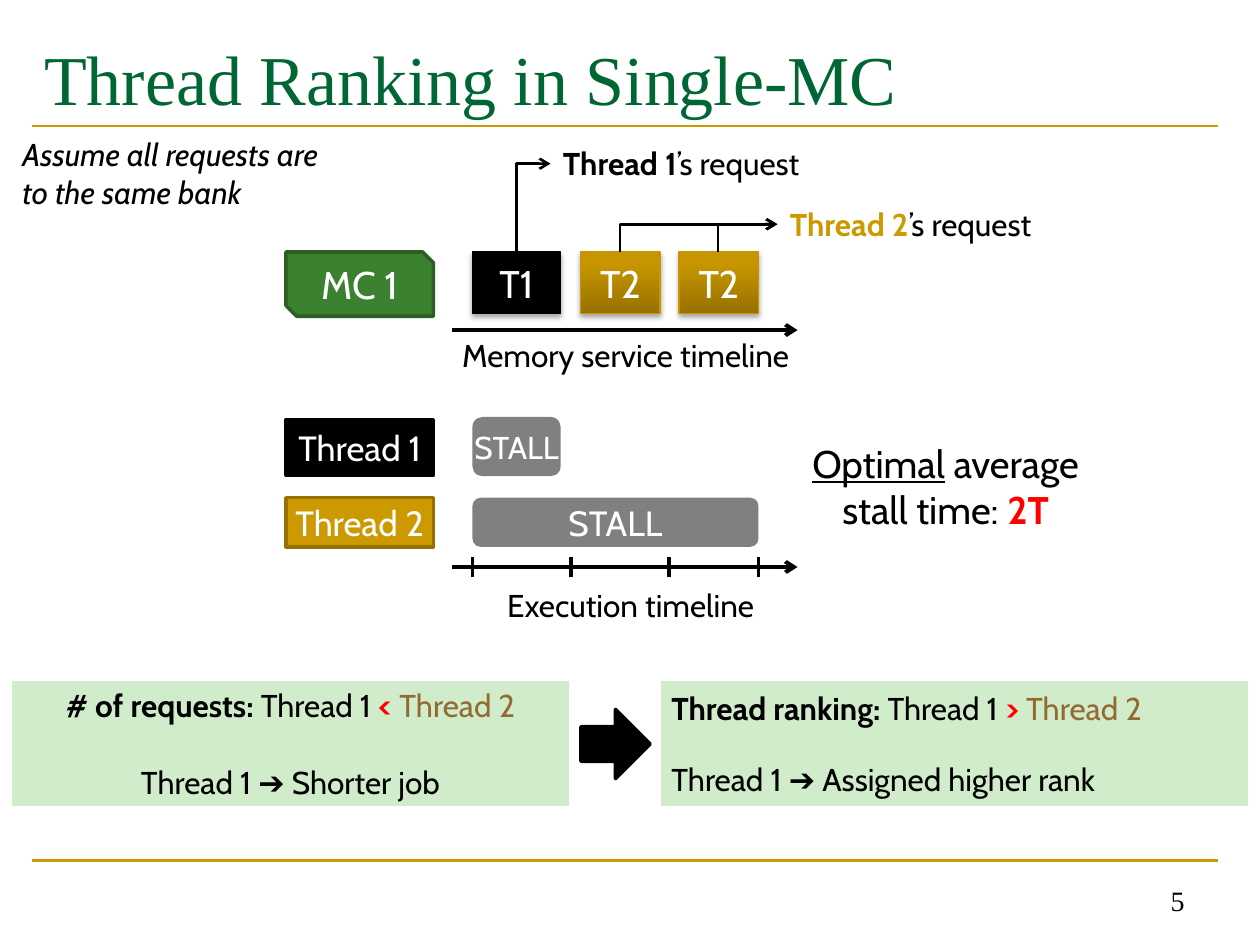
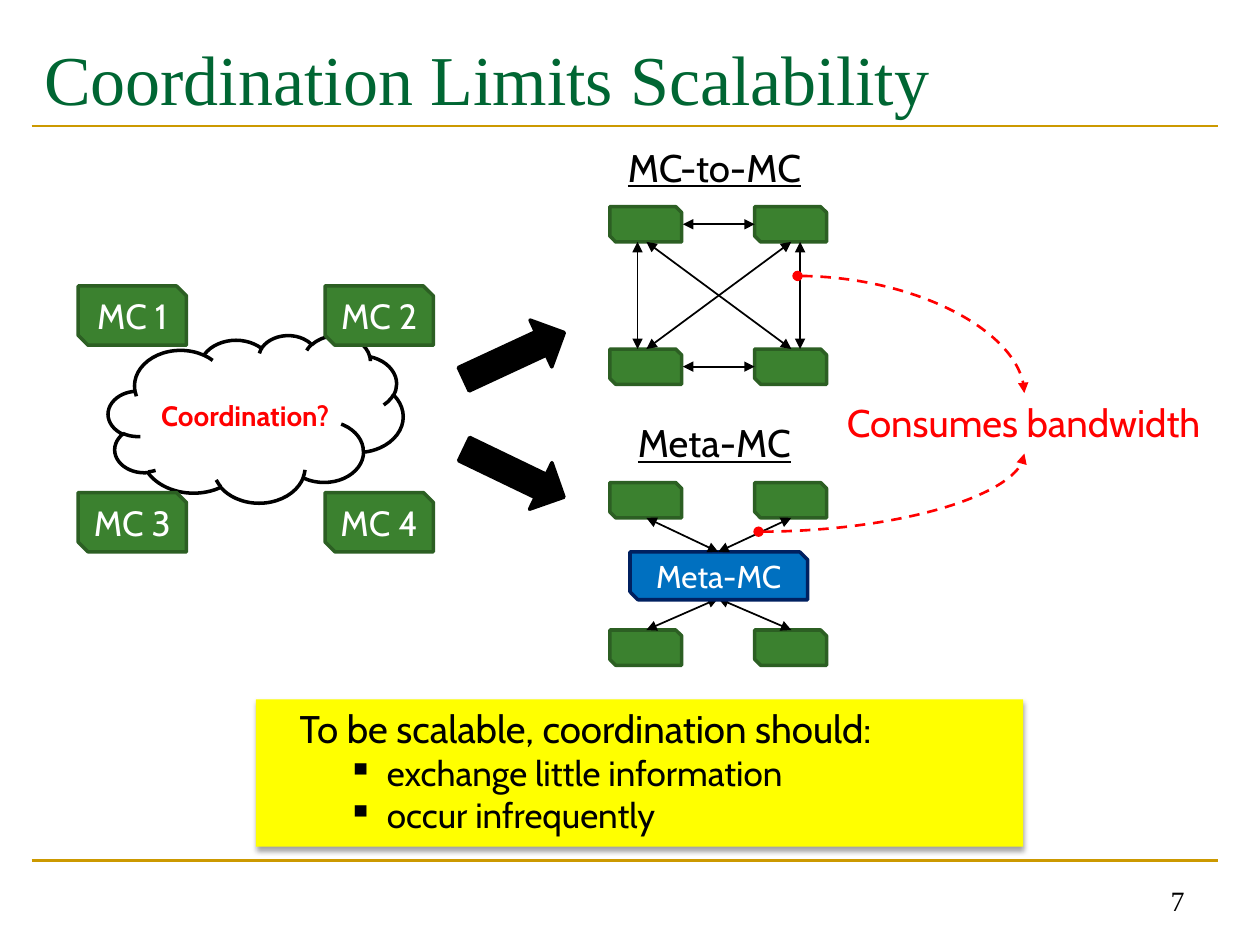
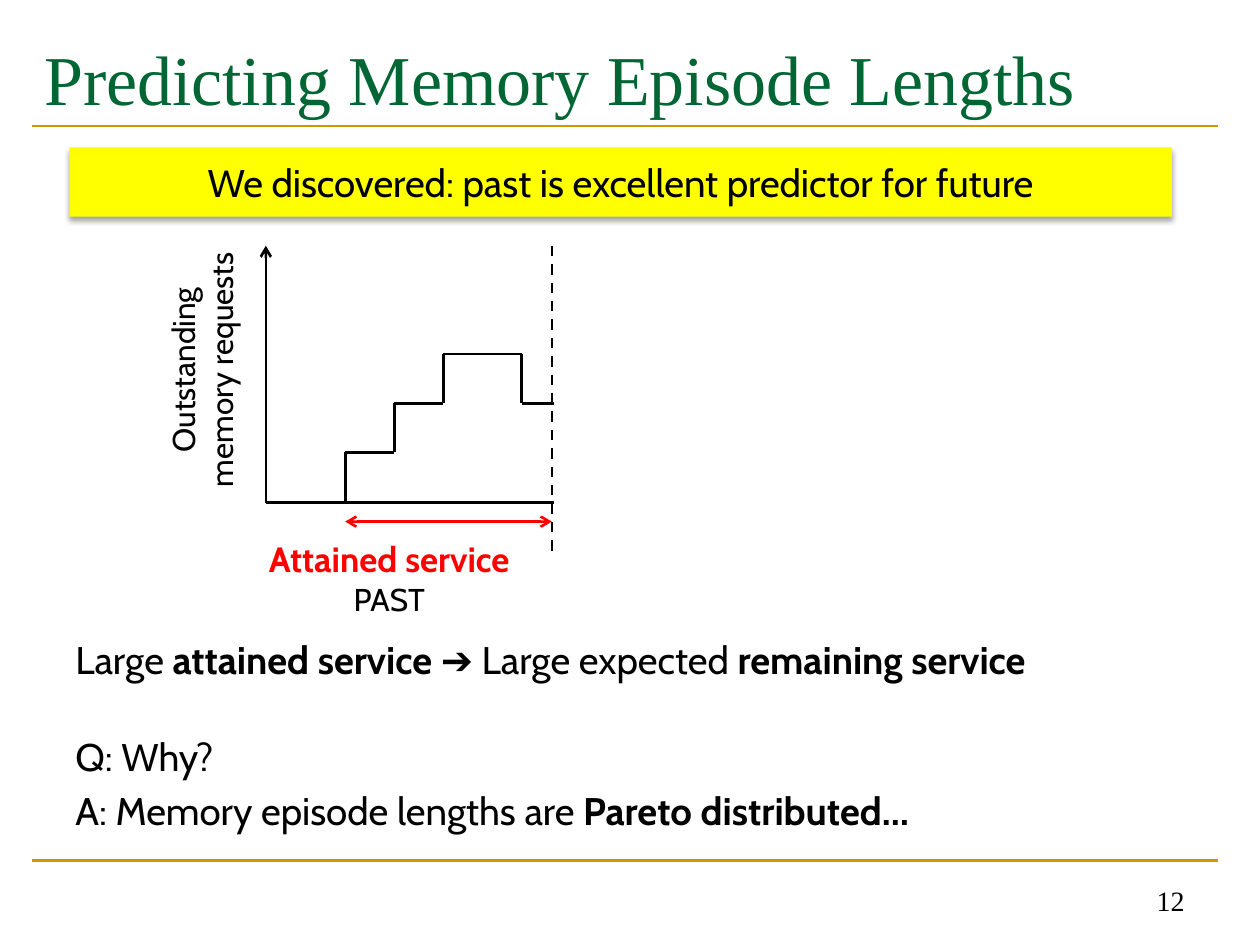
from lxml.etree import SubElement
from pptx import Presentation
from pptx.dml.color import RGBColor
from pptx.enum.dml import MSO_LINE as Dash
from pptx.enum.shapes import MSO_CONNECTOR as Link, MSO_SHAPE as Kind
from pptx.enum.text import MSO_ANCHOR as Anchor, MSO_AUTO_SIZE as Fit, PP_ALIGN as Align
from pptx.oxml.ns import qn
from pptx.util import Inches, Pt

# Shared look
BLACK = RGBColor(0x00, 0x00, 0x00)
WHITE = RGBColor(0xFF, 0xFF, 0xFF)
RED = RGBColor(0xFF, 0x00, 0x00)
GOLD = RGBColor(0xCC, 0x99, 0x00)
BRONZE = RGBColor(0x97, 0x71, 0x00)
SHINE = RGBColor(0xC7, 0x95, 0x00)
BROWN = RGBColor(0x94, 0x6A, 0x32)
PINE = RGBColor(0x00, 0x66, 0x33)
GREEN = RGBColor(0x3B, 0x81, 0x2F)
MOSS = RGBColor(0x2C, 0x5F, 0x23)
MINT = RGBColor(0xD0, 0xEC, 0xCB)
GRAY = RGBColor(0x80, 0x80, 0x80)
BLUE = RGBColor(0x00, 0x70, 0xC0)
NAVY = RGBColor(0x00, 0x20, 0x60)
YELLOW = RGBColor(0xFF, 0xFF, 0x00)
SANS, SERIF = "Cabin", "Times New Roman"

# Grid of 100 columns and 75 rows; a cell is square
WIDE, HIGH = Inches(10), Inches(7.5)
CELL = WIDE // 100


def span(*cells):
    return [round(n * CELL) for n in cells]


# Text
def write(frame, lines, size, color=BLACK, align=Align.CENTER, font=SANS,
          anchor=Anchor.MIDDLE, pad=1, wrap=True, gap=0, **style):
    """Fill a frame; a line is a string or a list of (text, style) parts."""
    frame.word_wrap = wrap
    frame.auto_size = Fit.NONE
    frame.vertical_anchor = anchor
    frame.margin_left = frame.margin_right = span(pad)[0]
    for i, line in enumerate(lines):
        para = frame.add_paragraph() if i else frame.paragraphs[0]
        para.alignment = align
        if i and gap:
            para.space_before = Pt(gap)
        parts = [(line, {})] if isinstance(line, str) else line
        for text, extra in parts:
            run = para.add_run()
            run.text = text
            look = {"size": Pt(size), "name": font, **style, **extra}
            run.font.color.rgb = look.pop("color", color)
            for key, value in look.items():
                setattr(run.font, key, value)


def note(slide, at, lines, size, **look):
    box = slide.shapes.add_textbox(*span(*at))
    write(box.text_frame, lines, size, **{"anchor": Anchor.TOP, **look})
    return box


# Shapes
def shape(slide, kind, at, fill=None, edge=None, width=2, turn=0):
    item = slide.shapes.add_shape(kind, *span(*at))
    item.shadow.inherit = False
    item.rotation = turn
    if fill is None:
        item.fill.background()
    else:
        item.fill.solid()
        item.fill.fore_color.rgb = fill
    if edge is None:
        item.line.fill.background()
    else:
        item.line.color.rgb = edge
        item.line.width = Pt(width)
    return item


def shade(item):
    effects = item._element.spPr.find(qn("a:effectLst"))
    drop = SubElement(effects, qn("a:outerShdw"), blurRad=str(Pt(3.1)), dist=str(Pt(1.8)),
                      dir="5400000", rotWithShape="0")
    tint = SubElement(drop, qn("a:srgbClr"), val=str(BLACK))
    SubElement(tint, qn("a:alpha"), val="35000")


def chip(slide, at, text="", size=20, fill=GREEN, edge=MOSS, kind=Kind.SNIP_2_DIAG_RECTANGLE,
         **look):
    item = shape(slide, kind, at, fill, edge)
    if text:
        write(item.text_frame, [text], size, WHITE, pad=0, **look)
    return item


def job(slide, left, width, text, gloss=False):
    item = chip(slide, (left, 20, width, 4.9), text, 22, BLACK, BLACK, Kind.RECTANGLE)
    item.line.width = Pt(0.75)
    if gloss:
        item.line.color.rgb = SHINE
        item.fill.gradient()
        item.fill.gradient_angle = 90
        low, top = item.fill.gradient_stops
        low.color.rgb, low.position = BRONZE, 0
        top.color.rgb, top.position = SHINE, 0.8
    shade(item)


def panel(slide, at, lines, gap, align):
    item = shape(slide, Kind.RECTANGLE, at, MINT, WHITE)
    write(item.text_frame, lines, 18, gap=gap, align=align)


def banner(slide, at):
    item = shape(slide, Kind.RECTANGLE, at, YELLOW)
    shade(item)
    return item.text_frame


# Lines
def line(slide, start, end, color=BLACK, width=1.5, head=None, tail=None, dash=False,
         link=Link.STRAIGHT):
    item = slide.shapes.add_connector(link, *span(*start, *end))
    item.line.color.rgb = color
    item.line.width = Pt(width)
    if dash:
        item.line.dash_style = Dash.DASH
    props = item._element.spPr
    stroke = props.find(qn("a:ln"))
    for tag, tip in (("a:headEnd", head), ("a:tailEnd", tail)):
        if tip:
            SubElement(stroke, qn(tag), type=tip)
    SubElement(props, qn("a:effectLst"))
    return item


def elbow(slide, start, end):
    """Go up from start, then right to end: a turned two-part connector."""
    (x1, y1), (x2, y2) = start, end
    mid_x, mid_y = (x1 + x2) / 2, (y1 + y2) / 2
    half_w, half_h = (y1 - y2) / 2, (x2 - x1) / 2
    item = line(slide, (mid_x + half_w, mid_y + half_h), (mid_x - half_w, mid_y - half_h),
                tail="arrow", link=Link.ELBOW)
    props = item._element.spPr
    props.find(qn("a:xfrm")).set("rot", "5400000")
    props.find(qn("a:prstGeom")).set("prst", "bentConnector2")


def curve(slide, start, end):
    item = line(slide, start, end, RED, head="oval", tail="triangle", dash=True, link=Link.CURVE)
    item._element.spPr.find(qn("a:prstGeom")).set("prst", "curvedConnector2")


def both(slide, start, end):
    line(slide, start, end, width=1, head="triangle", tail="triangle")


# Frame of every slide
def page(deck, title, number):
    slide = deck.slides.add_slide(deck.slide_layouts[5])
    for row in (68.3, 10):
        line(slide, (2.5, row), (96.7, row), GOLD)
    head = slide.shapes.title
    head.left, head.top, head.width, head.height = span(2.5, 1.7, 94.2, 11.7)
    write(head.text_frame, [title], 40, PINE, Align.LEFT, SERIF, Anchor.TOP)
    head.text_frame.margin_top = span(1.1)[0]
    note(slide, (71.7, 68.3, 23.3, 5), [number], 16, align=Align.RIGHT, font=SERIF,
         anchor=Anchor.BOTTOM)
    return slide


def ranking(deck):
    slide = page(deck, "Thread Ranking in Single-MC", "5")
    bold, red = {"bold": True}, {"bold": True, "color": RED}
    note(slide, (0.8, 10.2, 31.3, 7.1), ["Assume all requests are", "to the same bank"], 18,
         align=Align.LEFT, italic=True)

    # Memory service
    chip(slide, (22.7, 20, 11.7, 5.1), "MC 1", 22)
    job(slide, 37.5, 7, "T1")
    for left in (46.1, 53.9):
        job(slide, left, 6.3, "T2", gloss=True)
    elbow(slide, (41, 20), (43.7, 13))
    for col in (49.2, 57):
        elbow(slide, (col, 20), (61.7, 17.8))
    for left, top, name, tint in ((43.7, 10.9, "Thread 1", BLACK), (61.7, 15.8, "Thread 2", GOLD)):
        note(slide, (left, top, 28, 4), [[(name, {"bold": True, "color": tint}),
                                          ("’s request", {})]], 18, align=Align.LEFT)

    # Execution
    chip(slide, (22.7, 33.3, 11.7, 4.4), "Thread 1", 20, BLACK, BLACK, Kind.RECTANGLE)
    chip(slide, (22.7, 39.5, 11.7, 3.9), "Thread 2", 20, GOLD, BRONZE, Kind.RECTANGLE)
    chip(slide, (37.5, 33.1, 7, 4.7), "STALL", 18, GRAY, None, Kind.ROUNDED_RECTANGLE, wrap=False)
    chip(slide, (37.5, 39.5, 22.7, 3.9), "STALL", 20, GRAY, None, Kind.ROUNDED_RECTANGLE)
    for row in (26.2, 45):
        line(slide, (35.9, row), (63.3, row), width=2.25, tail="arrow")
    for col in (37.5, 45.3, 53.1, 60.2):
        line(slide, (col, 44.2), (col, 45.8), width=2.25)
    note(slide, (34.4, 26.2, 30.5, 4), ["Memory service timeline"], 18)
    note(slide, (35.2, 46, 29.7, 4), ["Execution timeline"], 18)
    note(slide, (59.4, 34.4, 31.3, 8.4),
         [[("Optimal", {"underline": True}), (" average", {})],
          [("stall time: ", {}), ("2T", red)]], 22)

    # Conclusion
    brown = {"color": BROWN}
    panel(slide, (0.8, 53.9, 44.5, 10.2),
          [[("# of requests: ", bold), ("Thread 1 ", {}), ("< ", red), ("Thread 2", brown)],
           "Thread 1 ➔ Shorter job"], 22, Align.CENTER)
    panel(slide, (52.3, 53.9, 46.9, 10.2),
          [[("Thread ranking: ", bold), ("Thread 1 ", {}), ("> ", red), ("Thread 2", brown)],
           "Thread 1 ➔ Assigned higher rank"], 19, Align.LEFT)
    shape(slide, Kind.RIGHT_ARROW, (46.1, 56.3, 5.5, 5.5), BLACK, BLACK)


def scaling(deck):
    slide = page(deck, "Coordination Limits Scalability", "7")

    # Four controllers around a cloud
    cloud = shape(slide, Kind.CLOUD, (8.6, 26.6, 23.4, 13.3), None, BLACK)
    write(cloud.text_frame, ["Coordination?"], 16, RED, pad=0, wrap=False, bold=True)
    spots = [(left, top) for top in (22.7, 39.1) for left in (6.2, 25.8)]
    for i, (left, top) in enumerate(spots, 1):
        chip(slide, (left, top, 8.6, 4.7), f"MC {i}")
    for top, turn in ((26.2, 335.1), (35.5, 25.7)):
        shape(slide, Kind.RIGHT_ARROW, (36.4, top, 8.8, 4.1), BLACK, BLACK, turn=turn)

    # Both schemes
    for top, name in ((10.9, "MC-to-MC"), (32.8, "Meta-MC")):
        note(slide, (47.7, top, 18, 4.7), [name], 22, underline=True)
    for top in (16.4, 27.7, 38.3, 50):
        for left in (48.4, 59.9):
            chip(slide, (left, top, 5.7, 2.8))
    west, east, mid = 51.3, 62.8, 57
    for row in (17.8, 29.1):
        both(slide, (59.9, row), (54.2, row))
    for low, high in ((50.6, 50.6), (63.5, 63.5), (east, west), (west, east)):
        both(slide, (low, 27.7), (high, 19.2))
    for col in (west, east):
        both(slide, (col, 50), (mid, 47.5))
    chip(slide, (50, 43.8, 14.1, 3.8), "Meta-MC", 18, BLUE, NAVY)
    for col in (west, east):
        both(slide, (col, 41.1), (mid, 43.8))

    # Cost and advice
    note(slide, (65.6, 31.2, 31.3, 4.7), ["Consumes bandwidth"], 22, color=RED)
    curve(slide, (63.3, 21.9), (81.3, 31.2))
    curve(slide, (60.2, 42.2), (81.3, 36))
    frame = banner(slide, (20.3, 55.5, 60.9, 11.7))
    small = {"size": Pt(20)}
    write(frame, ["To be scalable, coordination should:",
                  [(" exchange little information", small)], [(" occur infrequently", small)]],
          22, align=Align.LEFT, anchor=Anchor.TOP)
    first, *rest = [para._p.get_or_add_pPr() for para in frame.paragraphs]
    first.set("marL", str(Inches(0.25)))
    for props in rest:
        props.set("marL", str(Inches(0.88)))
        props.set("indent", str(-Inches(0.25)))
        SubElement(props, qn("a:buChar"), char="▪")


def lengths(deck):
    slide = page(deck, "Predicting Memory Episode Lengths", "12")
    write(banner(slide, (5.5, 11.7, 87.5, 5.5)),
          ["We discovered: past is excellent predictor for future"], 22)

    # Requests over time
    base, now = 39.9, 43.8
    line(slide, (21.1, base), (21.1, 19.5), tail="arrow")
    line(slide, (21.1, base), (44, base))
    steps = [(27.4, base), (27.4, 35.9), (31.3, 35.9), (31.3, 32), (35.2, 32),
             (35.2, 28.1), (41.4, 28.1), (41.4, 32), (44, 32)]
    for start, end in zip(steps, steps[1:]):
        line(slide, start, end)
    line(slide, (now, 19.5), (now, 43.8), dash=True)
    line(slide, (27.4, 41.4), (now, 41.4), RED, head="arrow", tail="arrow")
    axis = note(slide, (4.7, 25.8, 22.7, 7.1), ["Outstanding", "memory requests"], 18)
    axis.rotation = 270
    note(slide, (18, 42.2, 25.8, 7.4),
         [[("Attained service", {"size": Pt(20), "bold": True, "color": RED})], "PAST"], 18)

    # Reasoning
    bold = {"bold": True}
    body = note(slide, (5, 50, 90, 18),
                [[("Large ", {}), ("attained service ", bold), ("➔ Large expected ", {}),
                  ("remaining service", bold)],
                 "Q: Why?",
                 [("A: Memory episode lengths are ", {}), ("Pareto distributed…", bold)]],
                22, align=Align.LEFT, gap=4.4)
    body.text_frame.paragraphs[1].space_before = Pt(29)


def main():
    deck = Presentation()
    deck.slide_width, deck.slide_height = WIDE, HIGH
    for build in (ranking, scaling, lengths):
        build(deck)
    deck.save("out.pptx")


if __name__ == "__main__":
    main()
